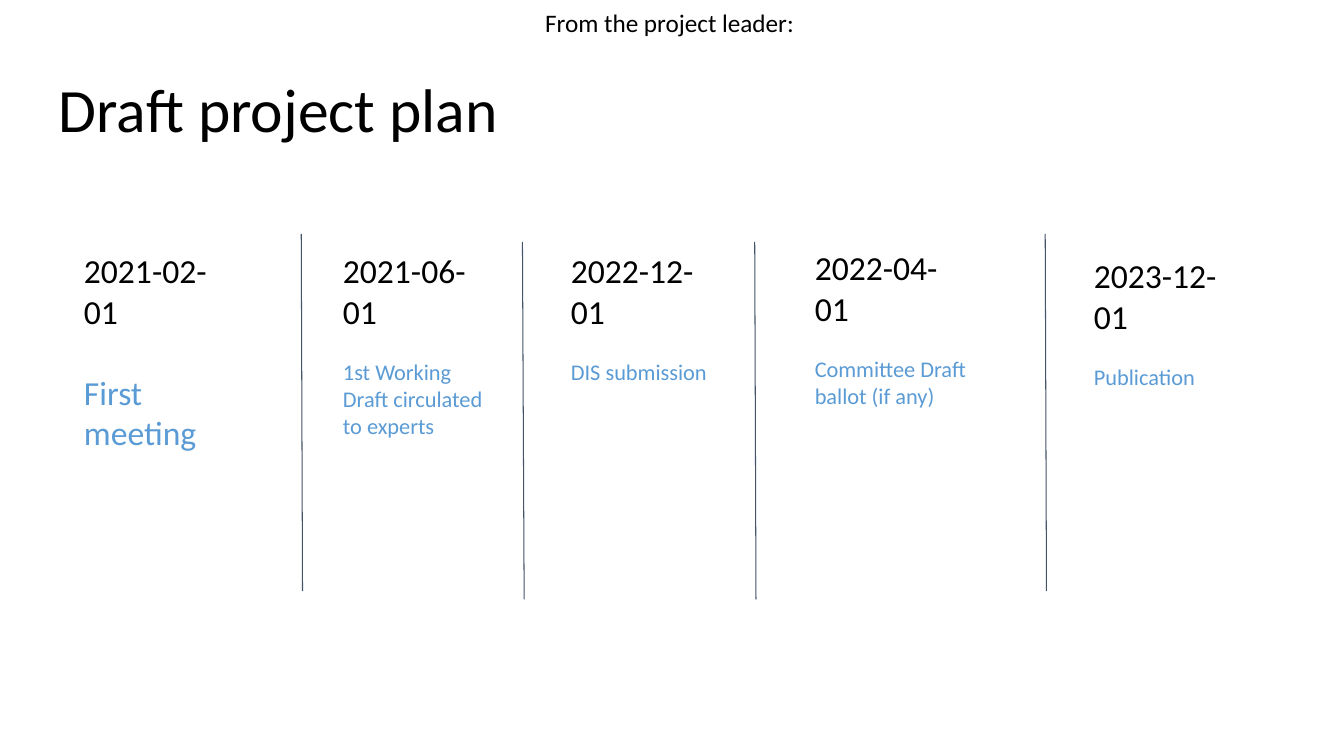
import dataclasses

import pptx
import pptx.dml.color
import pptx.enum.shapes
import pptx.enum.text
import pptx.oxml
import pptx.oxml.ns
import pptx.util

Pt = pptx.util.Pt
Align = pptx.enum.text.PP_ALIGN
Anchor = pptx.enum.text.MSO_ANCHOR
Fit = pptx.enum.text.MSO_AUTO_SIZE

COLORS = {"text": "000000", "step": "5B9BD5", "rule": "44546A"}
FONT = "Calibri"
INSET = 9.6
LINE = 1.22  # line height of the font, relative to its size


@dataclasses.dataclass
class Stage:
    left: float
    top: float
    date: str
    step: str
    size: float = 16


@dataclasses.dataclass
class Rule:
    left: float
    top: float
    lean: float = 0.9


STAGES = [
    Stage(50.4, 169.2, "2021-02-01", "First meeting", 24),
    Stage(235.4, 169.2, "2021-06-01", "1st Working Draft circulated to experts"),
    Stage(398.2, 169.2, "2022-12-01", "DIS submission"),
    Stage(572.4, 167, "2022-04-01", "Committee Draft ballot (if any)"),
    Stage(771.8, 172.8, "2023-12-01", "Publication"),
]
RULES = [
    Rule(215.2, 167),
    Rule(373.2, 172.8, 1.2),
    Rule(539.1, 172.8),
    Rule(746.6, 167),
]


def color(name: str) -> pptx.dml.color.RGBColor:
    return pptx.dml.color.RGBColor.from_string(COLORS[name])


def apply(target, values: dict) -> None:
    """Set each named attribute of the target."""
    for name, value in values.items():
        setattr(target, name, value)


def place(shape, left: float, top: float, width: float, height: float) -> None:
    box = {"left": left, "top": top, "width": width, "height": height}
    apply(shape, {name: Pt(value) for name, value in box.items()})


def frame(shape, inset: float):
    """Give the shape's text frame equal margins, wrapping and a top anchor."""
    text = shape.text_frame
    sides = ("left", "top", "right", "bottom")
    apply(text, {f"margin_{side}": Pt(inset) for side in sides})
    apply(text, {
        "word_wrap": True,
        "auto_size": Fit.NONE,
        "vertical_anchor": Anchor.TOP,
    })
    return text


def write(para, words: str, size: float, tone: str = "text") -> None:
    para.alignment = Align.LEFT
    run = para.add_run()
    run.text = words
    apply(run.font, {"name": FONT, "size": Pt(size)})
    run.font.color.rgb = color(tone)


def add_title(slide) -> None:
    title = slide.shapes.title
    place(title, 32.4, 46.8, 894.2, 60.5)
    para = frame(title, INSET).paragraphs[0]
    para.line_spacing = 0.9
    write(para, "Draft project plan", 44)


def add_rule(slide, rule: Rule) -> None:
    line = slide.shapes.add_connector(
        pptx.enum.shapes.MSO_CONNECTOR.STRAIGHT,
        Pt(rule.left), Pt(rule.top),
        Pt(rule.left + rule.lean), Pt(rule.top + 255.3),
    )
    line.line.color.rgb = color("rule")
    line.line.width = Pt(0.75)
    props = line._element.spPr
    props.append(pptx.oxml.parse_xml(
        f"<a:effectLst {pptx.oxml.ns.nsdecls('a')}/>"))


def add_stage(slide, stage: Stage) -> None:
    box = slide.shapes.add_textbox(0, 0, 0, 0)
    place(box, stage.left, stage.top, 127.4, 60.5)
    text = frame(box, INSET)
    write(text.paragraphs[0], stage.date, 24)
    para = text.add_paragraph()
    para.space_before = Pt(round(stage.size * LINE, 1))
    write(para, stage.step, stage.size, "step")


def add_source(slide) -> None:
    box = slide.shapes.add_textbox(0, 0, 0, 0)
    place(box, 382.3, 1.4, 195.1, 28.8)
    text = box.text_frame
    apply(text, {"word_wrap": False, "auto_size": Fit.SHAPE_TO_FIT_TEXT})
    write(text.paragraphs[0], "From the project leader:", 18)


def main() -> None:
    deck = pptx.Presentation()
    apply(deck, {"slide_width": Pt(960), "slide_height": Pt(540)})
    slide = deck.slides.add_slide(deck.slide_layouts.get_by_name("Title Only"))
    add_title(slide)
    for rule in RULES:
        add_rule(slide, rule)
    for stage in STAGES:
        add_stage(slide, stage)
    add_source(slide)
    deck.save("out.pptx")


if __name__ == "__main__":
    main()
